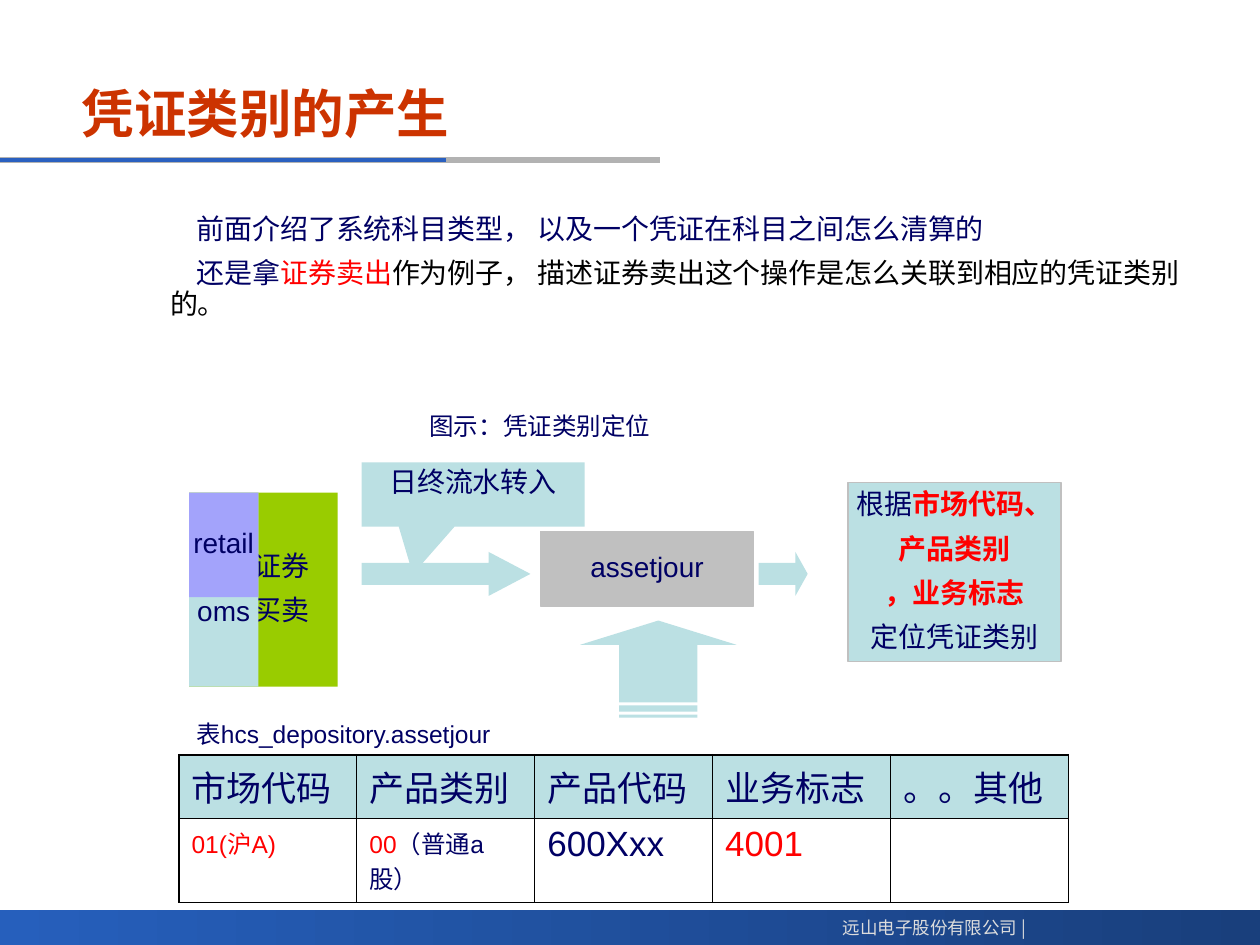
from dataclasses import dataclass
from typing import NamedTuple

from lxml import etree
from pptx import Presentation
from pptx.dml.color import RGBColor
from pptx.enum.shapes import MSO_CONNECTOR, MSO_SHAPE
from pptx.enum.text import MSO_ANCHOR, MSO_AUTO_SIZE, PP_ALIGN
from pptx.oxml.ns import qn
from pptx.util import Inches, Pt

RECT = MSO_SHAPE.RECTANGLE
ARROW = MSO_SHAPE.RIGHT_ARROW
STRIPED = MSO_SHAPE.STRIPED_RIGHT_ARROW
CALLOUT = MSO_SHAPE.RECTANGULAR_CALLOUT
STRAIGHT = MSO_CONNECTOR.STRAIGHT
TOP, MIDDLE = MSO_ANCHOR.TOP, MSO_ANCHOR.MIDDLE
LEFT, CENTER, RIGHT = PP_ALIGN.LEFT, PP_ALIGN.CENTER, PP_ALIGN.RIGHT
NO_FIT = MSO_AUTO_SIZE.NONE


@dataclass(frozen=True)
class Theme:
    latin: str = "Arial"
    asian: str = "Noto Sans CJK SC"
    navy: str = "000064"
    red: str = "FF0000"
    black: str = "000000"
    white: str = "FFFFFF"
    rust: str = "CC3300"
    aqua: str = "BBE0E3"
    gray: str = "C0C0C0"
    green: str = "99CC00"
    lilac: str = "A3A3FB"
    rule: str = "B2B2B2"
    blue: str = "2A60C0"
    bright: str = "265FBC"
    deep: str = "193F7C"
    pale: str = "DDDDDD"
    title: int = 30
    head: int = 20
    body: int = 16
    small: int = 14
    foot: int = 10


T = Theme()


class Run(NamedTuple):
    text: str
    color: str = T.navy
    bold: bool = False


class Box(NamedTuple):
    kind: int
    place: tuple
    fill: str
    lines: tuple = ()
    line: str = ""
    adjust: tuple = ()
    turn: int = 0
    anchor: int = MIDDLE
    left: float = 0.1
    top: float = 0.05


class Cell(NamedTuple):
    runs: tuple
    size: int = T.head


def rgb(code: str) -> RGBColor:
    return RGBColor.from_string(code)


def write(frame, lines, size=T.body, align=LEFT, font=T.latin, before=4,
          after=4, spacing=0.9, anchor=TOP, wrap=True, left=0.1, top=0.05,
          margin=0.0, indent=0.0) -> None:
    frame.auto_size = NO_FIT
    frame.word_wrap = wrap
    frame.vertical_anchor = anchor
    frame.margin_left, frame.margin_right = Inches(left), Inches(0.1)
    frame.margin_top, frame.margin_bottom = Inches(top), Inches(0.05)
    for i, runs in enumerate(lines):
        para = frame.add_paragraph() if i else frame.paragraphs[0]
        para.alignment = align
        para.line_spacing = spacing
        para.space_before, para.space_after = Pt(before), Pt(after)
        props = para._p.get_or_add_pPr()
        props.set("marL", str(Inches(margin)))
        props.set("indent", str(Inches(indent)))
        etree.SubElement(props, qn("a:buNone"))
        for part in runs:
            run = para.add_run()
            run.text = part.text
            run.font.size = Pt(size)
            run.font.bold = part.bold
            run.font.color.rgb = rgb(part.color)
            run.font.name = font
            etree.SubElement(run._r.get_or_add_rPr(), qn("a:ea"), typeface=T.asian)


def move(shape, place: tuple) -> None:
    shape.left, shape.top, shape.width, shape.height = map(Inches, place)


def draw(slide, box: Box) -> None:
    shape = slide.shapes.add_shape(box.kind, *map(Inches, box.place))
    shape.shadow.inherit = False
    shape.fill.solid()
    shape.fill.fore_color.rgb = rgb(box.fill)
    if box.line:
        shape.line.color.rgb = rgb(box.line)
        shape.line.width = Pt(0.75)
    else:
        shape.line.fill.background()
    for i, value in enumerate(box.adjust):
        shape.adjustments[i] = value
    shape.rotation = box.turn
    write(shape.text_frame, box.lines, align=CENTER, anchor=box.anchor,
          wrap=False, left=box.left, top=box.top)


def label(slide, place: tuple, run: Run, **style) -> None:
    frame = slide.shapes.add_textbox(*map(Inches, place)).text_frame
    write(frame, [[run]], **style)


def rule(slide, end: float, color: str, width: float) -> None:
    line = slide.shapes.add_connector(STRAIGHT, 0, Inches(1.27), Inches(end), Inches(1.27))
    line.line.color.rgb = rgb(color)
    line.line.width = Pt(width)
    etree.SubElement(line._element.spPr, qn("a:effectLst"))


def edge(cell, side: str, width: float) -> None:
    line = etree.SubElement(cell._tc.get_or_add_tcPr(), qn("a:ln" + side), w=str(Pt(width)))
    fill = etree.SubElement(line, qn("a:solidFill"))
    etree.SubElement(fill, qn("a:srgbClr"), val=T.black)


def grid(slide, rows: tuple, place: tuple, heights: tuple) -> None:
    count = len(rows[0])
    table = slide.shapes.add_table(len(rows), count, *map(Inches, place)).table
    table.first_row = table.horz_banding = False
    for col in table.columns:
        col.width = Inches(place[2] / count)
    for r, cells in enumerate(rows):
        table.rows[r].height = Inches(heights[r])
        for c, item in enumerate(cells):
            cell = table.cell(r, c)
            outer = {"L": c == 0, "R": c == count - 1, "T": r == 0, "B": r == len(rows) - 1}
            for side, thick in outer.items():
                edge(cell, side, 1.08 if thick else 0.45)
            cell.fill.solid()
            cell.fill.fore_color.rgb = rgb(T.white if r else T.aqua)
            gap = item.size / 4
            if item.runs:
                write(cell.text_frame, [item.runs], size=item.size,
                      before=gap, after=gap, spacing=1.0)


BOXES = (
    Box(RECT, (1.5, 3.91, 1.18, 1.54), T.green, ([Run("证券")], [Run("买卖")]), left=0.39),
    Box(RECT, (1.5, 3.91, 0.55, 1.54), T.aqua, ([Run("oms")],), top=0.41),
    Box(RECT, (1.5, 3.91, 0.55, 0.83), T.lilac, ([Run("retail")],)),
    Box(RECT, (4.29, 4.22, 1.69, 0.59), T.gray, ([Run("assetjour")],), T.gray),
    Box(ARROW, (2.87, 4.38, 1.34, 0.35), T.aqua, adjust=(0.5, 0.95)),
    Box(CALLOUT, (2.87, 3.67, 1.77, 0.51), T.aqua, ([Run("日终流水转入")],),
        adjust=(-0.27, 1.24), anchor=TOP),
    Box(STRIPED, (4.84, 4.69, 0.77, 1.24), T.aqua, adjust=(0.5, 0.25), turn=270),
    Box(RECT, (6.73, 3.83, 1.69, 1.42), T.aqua,
        ([Run("根据"), Run("市场代码、", T.red, True)],
         [Run("产品类别", T.red, True)],
         [Run("，业务标志", T.red, True)],
         [Run("定位凭证类别")]), T.gray),
    Box(ARROW, (6.02, 4.38, 0.39, 0.35), T.aqua, adjust=(0.5, 0.28)),
)
HEADS = ("市场代码", "产品类别", "产品代码", "业务标志", "。。其他")
ROWS = (
    tuple(Cell((Run(head),)) for head in HEADS),
    (Cell((Run("01(沪A)", T.red),), T.small),
     Cell((Run("00", T.red), Run("（普通a股）")), T.small),
     Cell((Run("600Xxx"),)), Cell((Run("4001", T.red),)), Cell(())),
)
INTRO = (
    [Run("前面介绍了系统科目类型， 以及一个凭证在科目之间怎么清算的")],
    [Run("还是拿"), Run("证券卖出", T.red),
     Run("作为例子， 描述证券卖出这个操作是怎么关联到相应的凭证类别的。", T.black)],
)


def main() -> None:
    deck = Presentation()
    deck.slide_width, deck.slide_height = Inches(10), Inches(7.5)
    slide = deck.slides.add_slide(deck.slide_layouts[1])

    band = slide.shapes.add_shape(RECT, *map(Inches, (0, 7.22, 10, 0.28)))
    band.shadow.inherit = False
    band.line.fill.background()
    band.fill.gradient()
    band.fill.gradient_angle = 0
    for stop, color in zip(band.fill.gradient_stops, (T.bright, T.deep)):
        stop.color.rgb = rgb(color)
    rule(slide, 5.24, T.rule, 3)
    rule(slide, 3.54, T.blue, 2.25)
    label(slide, (6.53, 7.23, 1.71, 0.27), Run("远山电子股份有限公司 |", T.pale),
          size=T.foot, font=T.asian, align=RIGHT, wrap=False, spacing=1.0, before=0, after=0)

    title, body = slide.placeholders
    move(title, (0.55, 0.56, 6.92, 0.67))
    write(title.text_frame, [[Run("凭证类别的产生", T.rust, True)]], size=T.title,
          anchor=MIDDLE, spacing=1.0, before=0, after=0)
    move(body, (0.87, 1.66, 8.66, 1.3))
    write(body.text_frame, INTRO, margin=0.38, indent=0.21)

    for box in BOXES:
        draw(slide, box)
    grid(slide, ROWS, (1.42, 5.99, 7.06, 1.17), (0.5, 0.67))
    label(slide, (1.46, 5.68, 2.79, 0.31), Run("表hcs_depository.assetjour"), size=T.small)
    label(slide, (3.31, 3.24, 2.79, 0.31), Run("图示：凭证类别定位"), size=T.small)
    deck.save("out.pptx")


if __name__ == "__main__":
    main()
